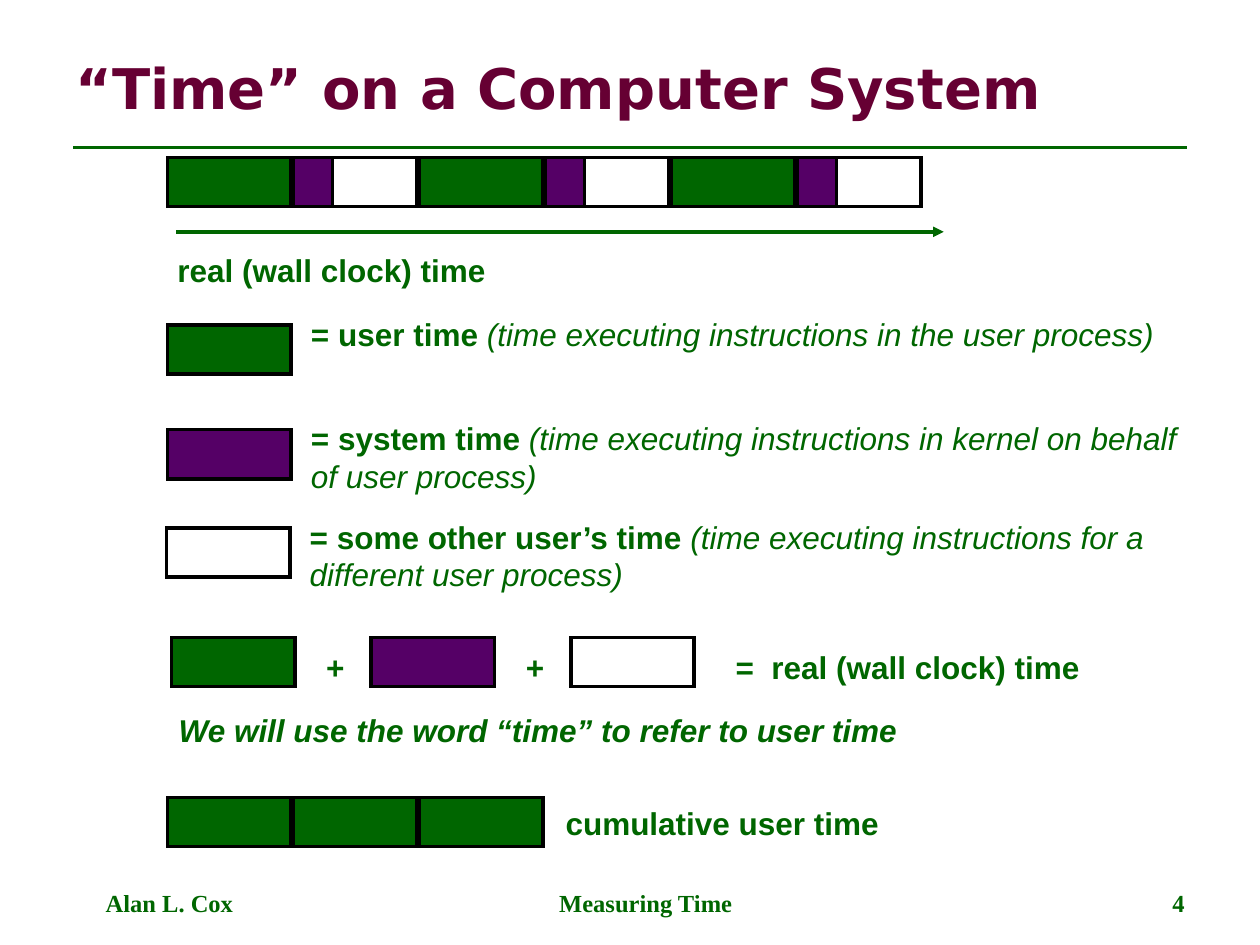
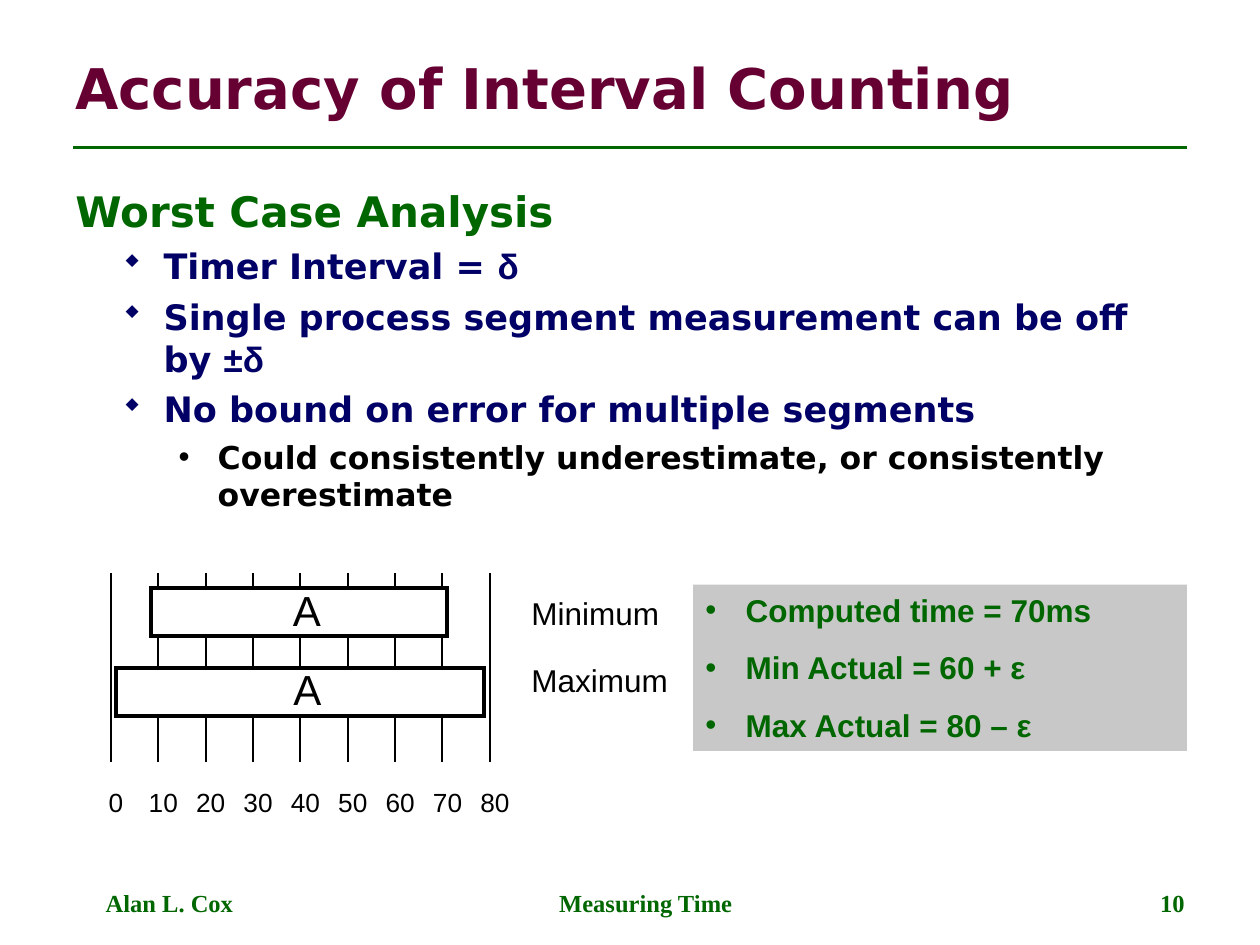
from lxml.etree import SubElement
from pptx import Presentation
from pptx.dml.color import RGBColor
from pptx.enum.shapes import MSO_CONNECTOR, MSO_SHAPE
from pptx.enum.text import MSO_ANCHOR as Anchor, PP_ALIGN as Align
from pptx.oxml.ns import qn
from pptx.util import Inches, Pt

GREEN = RGBColor(0x00, 0x66, 0x00)
PURPLE = RGBColor(0x55, 0x00, 0x66)
MAROON = RGBColor(0x66, 0x00, 0x33)
NAVY = RGBColor(0x00, 0x00, 0x66)
GRAY = RGBColor(0xC8, 0xC8, 0xC8)
BLACK = RGBColor(0x00, 0x00, 0x00)
WHITE = RGBColor(0xFF, 0xFF, 0xFF)

SANS, HEADING, SERIF = "Arial", "DejaVu Sans", "Times New Roman"
DOT = (SANS, "•", 100)
DIAMOND = ("Wingdings", "w", 90)  # this symbol font draws w as ⬥

USER, SYSTEM, OTHER = GREEN, PURPLE, WHITE
SLICE_W, SLICE_H, SLICE_STEP = 0.98, 0.39, 1.0
SYSTEM_W = 0.31


def inches(box):
    return [Inches(length) for length in box]


def write(frame, *runs, size=18, font=SANS, color=GREEN, bold=True, italic=False,
          align=Align.LEFT, margin=0, indent=0, before=0, spacing=None, bullet=None):
    """Add a paragraph; a run is a text, or a text with its own format."""
    paragraph = frame.paragraphs[0]
    if paragraph.runs:
        paragraph = frame.add_paragraph()
    paragraph.alignment = align
    paragraph.space_before = Pt(before)
    if spacing:
        paragraph.line_spacing = spacing
    props = paragraph._p.get_or_add_pPr()
    props.set("marL", str(Inches(margin)))
    props.set("indent", str(Inches(indent)))
    if bullet:
        bullet_font, char, percent = bullet
        bullet_color = SubElement(props, qn("a:buClr"))
        SubElement(bullet_color, qn("a:srgbClr"), val=str(color))
        SubElement(props, qn("a:buSzPct"), val=str(percent * 1000))
        SubElement(props, qn("a:buFont"), typeface=bullet_font)
        SubElement(props, qn("a:buChar"), char=char)
    for item in runs:
        text, own = (item, {}) if isinstance(item, str) else item
        run = paragraph.add_run()
        run.text = text
        run.font.size = Pt(size)
        run.font.name = own.get("font", font)
        run.font.color.rgb = color
        run.font.bold = own.get("bold", bold)
        run.font.italic = own.get("italic", italic)


def set_frame(frame, inset=(0.1, 0.05), anchor=Anchor.TOP):
    frame.word_wrap = True
    frame.margin_left = frame.margin_right = Inches(inset[0])
    frame.margin_top = frame.margin_bottom = Inches(inset[1])
    frame.vertical_anchor = anchor
    return frame


def add_frame(slide, box, **layout):
    return set_frame(slide.shapes.add_textbox(*inches(box)).text_frame, **layout)


def add_label(slide, box, text, **style):
    write(add_frame(slide, box), text, **style)


def add_plain_label(slide, box, text, size):
    """Add a centred black label without insets, for the interval diagram."""
    write(add_frame(slide, box, inset=(0, 0)), text, size=size,
          color=BLACK, bold=False, align=Align.CENTER, spacing=0.9)


def add_rect(slide, box, fill, line_width=2):
    rect = slide.shapes.add_shape(MSO_SHAPE.RECTANGLE, *inches(box))
    rect.shadow.inherit = False
    rect.fill.solid()
    rect.fill.fore_color.rgb = fill
    if line_width:
        rect.line.color.rgb = BLACK
        rect.line.width = Pt(line_width)
        SubElement(rect.line._get_or_add_ln(), qn("a:miter"), lim="800000")
    else:
        rect.line.fill.background()
    return rect


def add_line(slide, start, end, color, width, arrow=False):
    line = slide.shapes.add_connector(MSO_CONNECTOR.STRAIGHT, *inches(start + end))
    line.line.color.rgb = color
    line.line.width = Pt(width)
    if arrow:
        SubElement(line.line._get_or_add_ln(), qn("a:tailEnd"), type="triangle")
    SubElement(line._element.spPr, qn("a:effectLst"))


def add_slice(slide, left, top, kind, width=SLICE_W):
    add_rect(slide, (left, top, width, SLICE_H), kind)


def add_base_slide(deck, title, number):
    """Add a slide with the title, rule and footer that all slides share."""
    slide = deck.slides.add_slide(deck.slide_layouts[6])
    add_line(slide, (0.58, 1.17), (9.42, 1.17), GREEN, 1.5)
    write(add_frame(slide, (0.5, 0.3, 9, 0.78), anchor=Anchor.MIDDLE), title,
          size=32, font=HEADING, color=MAROON)
    for left, width, text, align in (
        (0.5, 2.33, "Alan L. Cox", Align.LEFT),
        (3.42, 3.17, "Measuring Time", Align.CENTER),
        (7.17, 2.33, str(number), Align.RIGHT),
    ):
        add_label(slide, (left, 7, width, 0.35), text,
                  size=14, font=SERIF, align=align, margin=0.24)
    return slide


def add_timeline(slide, left, top):
    for cycle in range(3):
        user_left = left + 2 * cycle * SLICE_STEP
        switch_left = user_left + SLICE_STEP
        add_slice(slide, user_left, top, USER)
        add_slice(slide, switch_left, top, OTHER)
        add_slice(slide, switch_left, top, SYSTEM, SYSTEM_W)
    arrow_top = top + 0.59
    add_line(slide, (left + 0.07, arrow_top), (left + 6.16, arrow_top), GREEN, 2, arrow=True)
    add_label(slide, (left - 0.02, top + 0.69, 2.7, 0.4), "real (wall clock) time")


def add_legend_row(slide, left, top, kind, term, meaning):
    add_slice(slide, left, top, kind)
    write(add_frame(slide, (left + 1.04, top - 0.13, 7.3, 0.7)),
          f"= {term} ", (meaning, {"bold": False, "italic": True}))


def add_time_sum(slide, left, top):
    step = 1.585
    for place, kind in enumerate((USER, SYSTEM, OTHER)):
        slice_left = left + place * step
        add_slice(slide, slice_left, top, kind)
        if kind != OTHER:
            add_label(slide, (slice_left + 1.13, top + 0.03, 0.36, 0.4), "+")
    add_label(slide, (left + 4.38, top + 0.03, 3, 0.4), "=  real (wall clock) time")


def add_cumulative_time(slide, left, top):
    for place in range(3):
        add_slice(slide, left + place * SLICE_STEP, top, USER)
    add_label(slide, (left + 3.06, top, 2.75, 0.4), "cumulative user time")


def add_analysis(slide, box):
    frame = add_frame(slide, box)
    symbol = {"font": SANS}
    write(frame, "Worst Case Analysis", size=24, font=HEADING,
          margin=0.19, indent=-0.19, before=6)
    for runs in (
        ["Timer Interval = ", ("δ", symbol)],
        ["Single process segment measurement can be off by ", ("±δ", symbol)],
        ["No bound on error for multiple segments"],
    ):
        write(frame, *runs, size=20, font=HEADING, color=NAVY, margin=0.7,
              indent=-0.32, before=5, bullet=DIAMOND)
    write(frame, "Could consistently underestimate, or consistently overestimate",
          font=HEADING, color=BLACK, margin=1.13, indent=-0.31, before=4.5, bullet=DOT)


def add_interval_diagram(slide, left, top):
    tick_step, tick_height, number_width = 0.376, 1.5, 0.3
    for tick in range(9):
        x = left + tick * tick_step
        add_line(slide, (x, top), (x, top + tick_height), BLACK, 1.13)
        add_plain_label(slide, (x + 0.04 - number_width / 2, top + 1.72, number_width, 0.23),
                        str(tick * 10), size=15)
    for offset, drop, width, name, name_drop, name_width in (
        (0.32, 0.12, 2.35, "Minimum", 0.2, 1.09),
        (0.04, 0.75, 2.92, "Maximum", 0.73, 1.16),
    ):
        segment = add_rect(slide, (left + offset, top + drop, width, 0.38), WHITE, 2.25)
        frame = set_frame(segment.text_frame, inset=(0, 0), anchor=Anchor.MIDDLE)
        frame.margin_left = Inches(0.12)
        write(frame, "A", size=24, color=BLACK, bold=False, align=Align.CENTER, spacing=0.9)
        add_plain_label(slide, (left + 3.3, top + name_drop, name_width, 0.27), name, size=18)


def add_results(slide, box):
    frame = set_frame(add_rect(slide, box, GRAY, line_width=0).text_frame)
    for result in ("Computed time = 70ms", "Min Actual = 60 + ε", "Max Actual = 80 – ε"):
        write(frame, result, margin=0.32, indent=-0.32, before=11.2, bullet=DOT)


def build_time_slide(deck):
    slide = add_base_slide(deck, "“Time” on a Computer System", 4)
    add_timeline(slide, 1.33, 1.25)
    add_legend_row(slide, 1.33, 2.58, USER, "user time",
                   "(time executing instructions in the user process)")
    add_legend_row(slide, 1.33, 3.41, SYSTEM, "system time",
                   "(time executing instructions in kernel on behalf of user process)")
    add_legend_row(slide, 1.32, 4.19, OTHER, "some other user’s time",
                   "(time executing instructions for a different user process)")
    add_time_sum(slide, 1.36, 5.06)
    add_label(slide, (1.32, 5.59, 6, 0.4),
              "We will use the word “time” to refer to user time", italic=True)
    add_cumulative_time(slide, 1.33, 6.33)


def build_accuracy_slide(deck):
    slide = add_base_slide(deck, "Accuracy of Interval Counting", 10)
    add_analysis(slide, (0.5, 1.42, 9, 5.28))
    add_interval_diagram(slide, 0.88, 4.55)
    add_results(slide, (5.5, 4.64, 3.92, 1.32))


def main():
    deck = Presentation()
    deck.slide_width, deck.slide_height = Inches(10), Inches(7.5)
    build_time_slide(deck)
    build_accuracy_slide(deck)
    deck.save("out.pptx")


if __name__ == "__main__":
    main()
